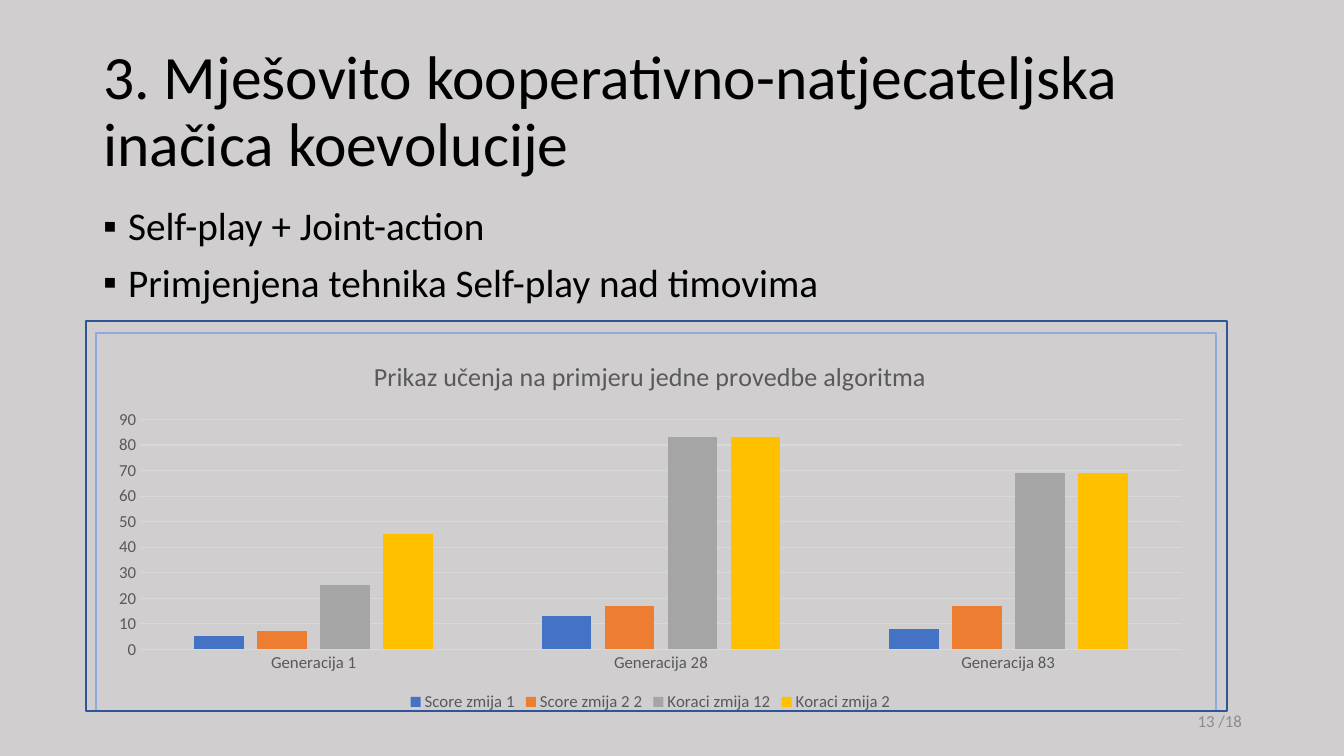
from dataclasses import dataclass

from lxml.etree import SubElement
from pptx import Presentation
from pptx.chart.data import CategoryChartData as ChartData
from pptx.dml.color import RGBColor as Rgb
from pptx.enum.chart import XL_CHART_TYPE as Kind, XL_LEGEND_POSITION as Side, XL_TICK_MARK as Tick
from pptx.enum.shapes import MSO_SHAPE as Form
from pptx.enum.text import MSO_ANCHOR as Anchor, MSO_AUTO_SIZE as Fit, PP_ALIGN as Align
from pptx.oxml.ns import qn
from pptx.util import Emu, Pt

SCALE = 914400 / 100.8


@dataclass(frozen=True)
class Theme:
    """Colours, typeface and type sizes of the slide."""
    face: str = "Calibri"
    back: str = "D0CECE"
    ink: str = "000000"
    soft: str = "595959"
    pale: str = "8C8C8C"
    grid: str = "D9D9D9"
    inner: str = "8FAADC"
    outer: str = "2F5597"
    bars: tuple = ("4472C4", "ED7D31", "A5A5A5", "FFC000")
    head: float = 44
    body: float = 28
    title: float = 18.6
    small: float = 12


LOOK = Theme()
CATS = ("Generacija 1", "Generacija 28", "Generacija 83")
ROWS = {
    "Score zmija 1": (5, 13, 8),
    "Score zmija 2 2": (7, 17, 17),
    "Koraci zmija 12": (25, 83, 69),
    "Koraci zmija 2": (45, 83, 69),
}


def px(num):
    """Turn pixels into EMU."""
    return Emu(round(num * SCALE))


def apply(obj, **vals):
    """Set each named attribute on an object."""
    for name, val in vals.items():
        setattr(obj, name, val)


def style(font, size, tint):
    """Format a font."""
    apply(font, name=LOOK.face, size=Pt(size), bold=False)
    font.color.rgb = Rgb.from_string(tint)


def stroke(line, tint, width):
    """Format a line."""
    line.color.rgb = Rgb.from_string(tint)
    line.width = Pt(width)


def write(shape, box, lines, size, tint, anchor, **form):
    """Place a text shape and fill its paragraphs."""
    apply(shape, **dict(zip(("left", "top", "width", "height"), map(px, box))))
    frame = shape.text_frame
    frame.text = "\n".join(lines)
    apply(frame, word_wrap=True, auto_size=Fit.NONE, vertical_anchor=anchor)
    for para in frame.paragraphs:
        apply(para, **form)
        for run in para.runs:
            style(run.font, size, tint)
    return frame


def bullet(para):
    """Give a paragraph a square bullet with a hanging indent."""
    props = para._p.get_or_add_pPr()
    props.set("marL", str(px(25)))
    props.set("indent", str(-px(25)))
    SubElement(props, qn("a:buFont")).set("typeface", "Arial")
    SubElement(props, qn("a:buChar")).set("char", "▪")


def border(slide, box, tint):
    """Draw an unfilled rectangle."""
    rect = slide.shapes.add_shape(Form.RECTANGLE, *map(px, box))
    rect.shadow.inherit = False
    rect.fill.background()
    stroke(rect.line, tint, 1)


def plot(slide, box, title):
    """Add the clustered column chart."""
    data = ChartData()
    data.categories = CATS
    for name, vals in ROWS.items():
        data.add_series(name, vals)
    chart = slide.shapes.add_chart(Kind.COLUMN_CLUSTERED, *map(px, box), data).chart
    style(chart.font, LOOK.small, LOOK.soft)
    apply(chart, has_title=True, has_legend=True)
    chart.chart_title.include_in_layout = False
    frame = chart.chart_title.text_frame
    frame.text = title
    style(frame.paragraphs[0].runs[0].font, LOOK.title, LOOK.soft)
    apply(chart.legend, position=Side.BOTTOM, include_in_layout=False)
    style(chart.legend.font, LOOK.small, LOOK.soft)
    for axis in (chart.category_axis, chart.value_axis):
        apply(axis, major_tick_mark=Tick.NONE, minor_tick_mark=Tick.NONE)
        style(axis.tick_labels.font, LOOK.small, LOOK.soft)
    stroke(chart.category_axis.format.line, LOOK.grid, 0.75)
    axis = chart.value_axis
    apply(axis, minimum_scale=0, maximum_scale=90, major_unit=10)
    axis.format.line.fill.background()
    stroke(axis.major_gridlines.format.line, LOOK.grid, 0.75)
    bars = chart.plots[0]
    apply(bars, gap_width=219, overlap=-27, vary_by_categories=False)
    for row, tint in zip(bars.series, LOOK.bars):
        row.format.fill.solid()
        row.format.fill.fore_color.rgb = Rgb.from_string(tint)


def main():
    """Build and save the slide."""
    deck = Presentation()
    apply(deck, slide_width=px(1344), slide_height=px(756))
    slide = deck.slides.add_slide(deck.slide_layouts[1])
    fill = slide.background.fill
    fill.solid()
    fill.fore_color.rgb = Rgb.from_string(LOOK.back)
    write(slide.shapes.title, (93, 40, 1159, 146),
          ["3. Mješovito kooperativno-natjecateljska inačica koevolucije"],
          LOOK.head, LOOK.ink, Anchor.MIDDLE, alignment=Align.LEFT, line_spacing=0.9)
    frame = write(slide.placeholders[1], (93, 202, 1159, 480),
                  ["Self-play + Joint-action", "Primjenjena tehnika Self-play nad timovima"],
                  LOOK.body, LOOK.ink, Anchor.TOP, line_spacing=0.9, space_before=Pt(10))
    for para in frame.paragraphs:
        bullet(para)
    page = (950, 701, 302, 40)
    write(slide.shapes.add_textbox(*map(px, page)), page, ["13 /18"],
          LOOK.small, LOOK.pale, Anchor.MIDDLE, alignment=Align.RIGHT)
    border(slide, (96, 333, 1120, 378), LOOK.inner)
    border(slide, (86, 321, 1141, 390), LOOK.outer)
    plot(slide, (97, 341, 1107, 375), "Prikaz učenja na primjeru jedne provedbe algoritma")
    deck.save("out.pptx")


if __name__ == "__main__":
    main()
